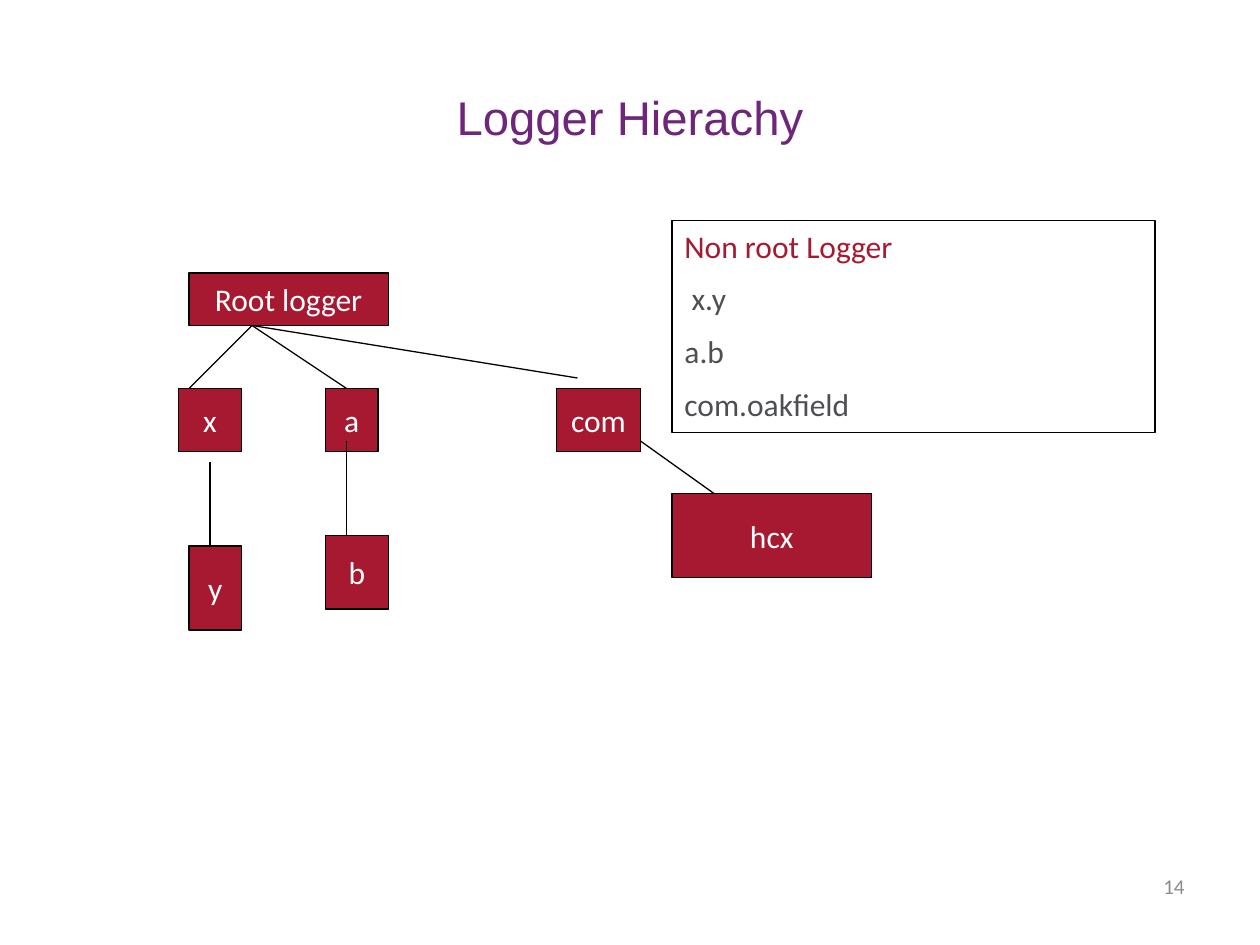
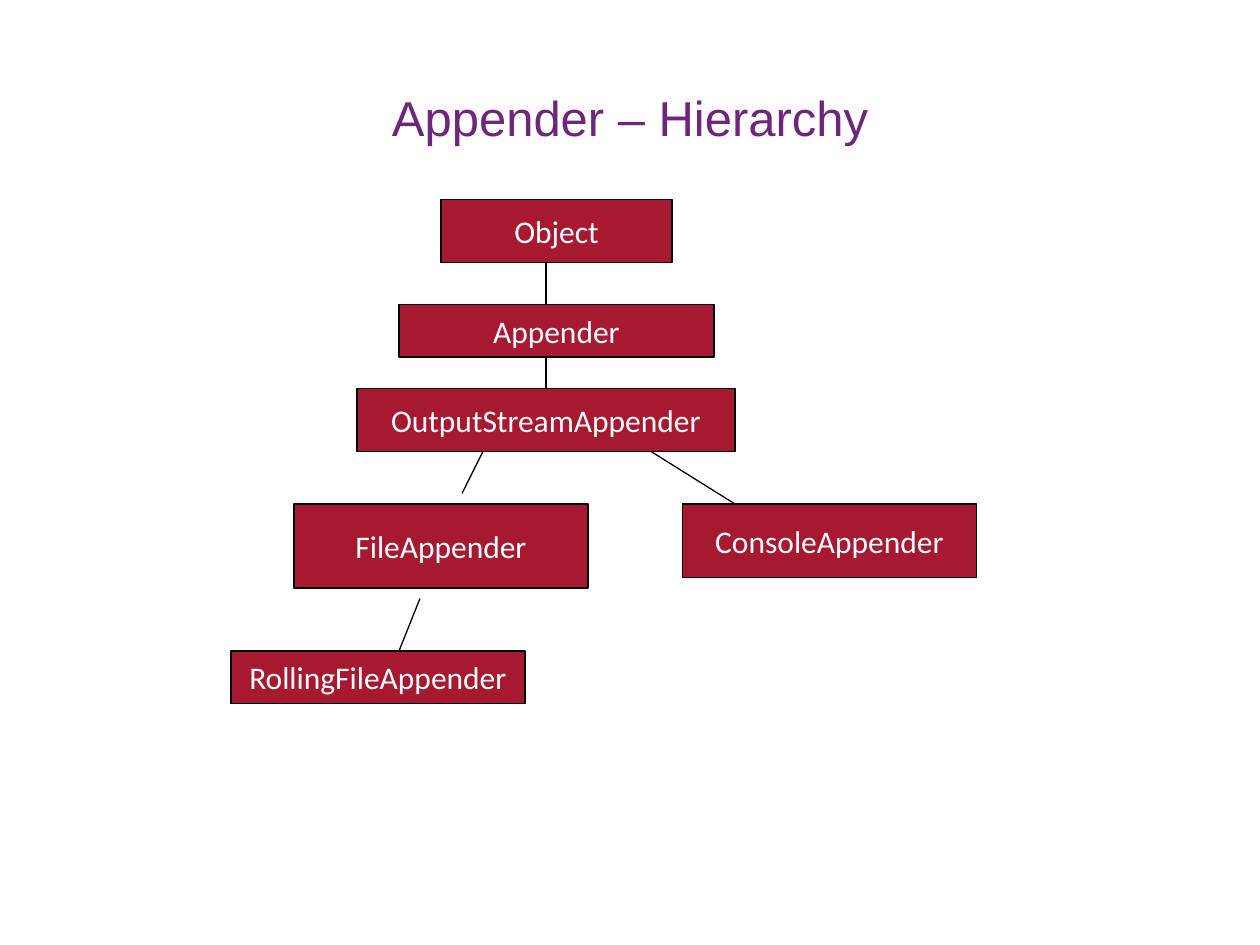
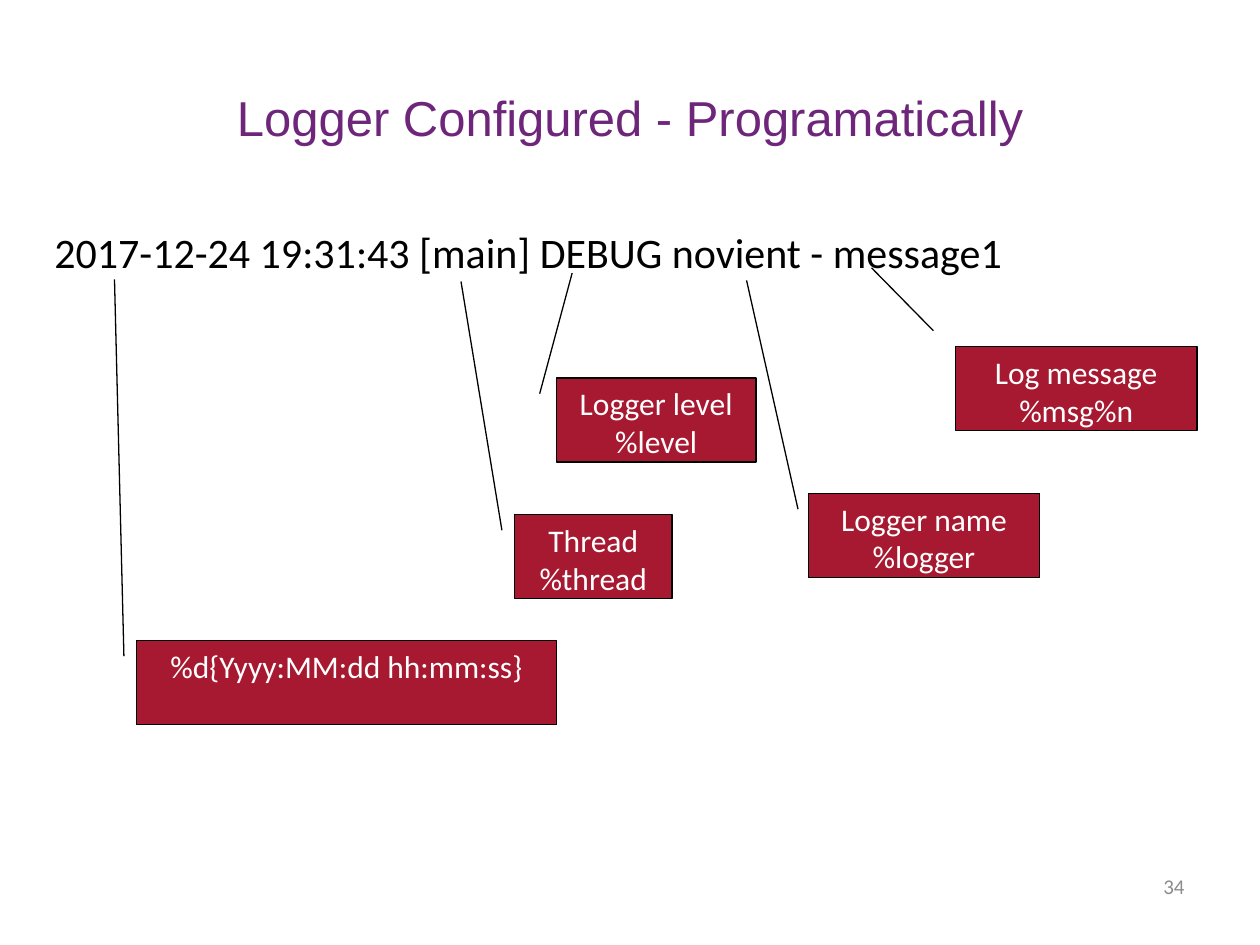
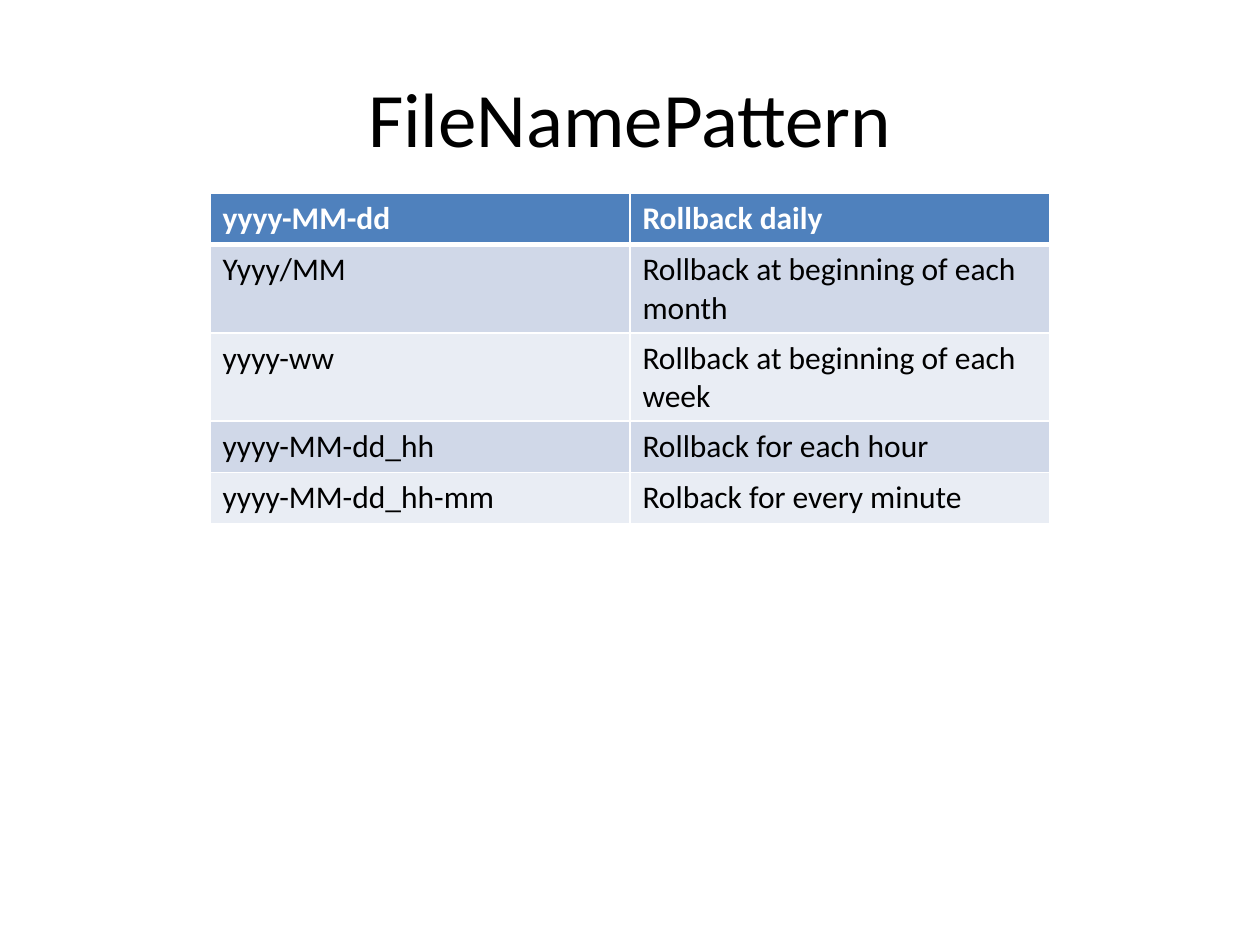
from dataclasses import dataclass
from typing import NamedTuple, Optional, Union

import lxml.etree
import pptx
import pptx.dml.color
import pptx.enum.shapes
import pptx.enum.text
import pptx.oxml
import pptx.oxml.ns
import pptx.util

PX = 7620  # EMU per px: 120 px to the inch

SHAPE = pptx.enum.shapes.MSO_SHAPE
ALIGN = pptx.enum.text.PP_ALIGN
ANCHOR = pptx.enum.text.MSO_ANCHOR
AUTO_SIZE = pptx.enum.text.MSO_AUTO_SIZE


@dataclass(frozen=True)
class Theme:
    heading_font: str = "Arial"
    body_font: str = "Calibri"
    purple: str = "6E267B"
    red: str = "A71930"
    grey: str = "4D4F53"
    page_grey: str = "8C8C8C"
    black: str = "000000"
    white: str = "FFFFFF"
    table_head: str = "4F81BD"
    table_bands: tuple[str, str] = ("D0D8E8", "E9EDF4")
    title_size: int = 28
    big_title_size: int = 44
    sample_size: int = 24
    body_size: int = 18
    page_size: int = 12
    paragraph_gap: float = 8.6
    outline: float = 0.75
    cell_border: int = 1
    head_border: int = 3


THEME = Theme()


class Rect(NamedTuple):
    x: int
    y: int
    w: int
    h: int

    def emu(self) -> list[int]:
        return [v * PX for v in self]

    def side_middles(self) -> list[tuple[int, int]]:
        """Middles in connection site order: top, left, bottom, right."""
        cx, cy = self.x + self.w // 2, self.y + self.h // 2
        return [(cx, self.y), (self.x, cy), (cx, self.y + self.h), (self.x + self.w, cy)]


class Box(NamedTuple):
    label: str
    rect: Rect


class Line(NamedTuple):
    start: tuple[int, int]
    end: tuple[int, int]


class Callout(NamedTuple):
    text: str
    rect: Rect
    start: tuple[int, int]
    target: tuple[int, int]


TITLE_RECT = Rect(60, 36, 1080, 150)
PAGE_RECT = Rect(930, 820, 210, 48)


# Shared helpers
def rgb(color: str) -> pptx.dml.color.RGBColor:
    return pptx.dml.color.RGBColor.from_string(color)


def set_text(tf, text: str, size: int, color: str, font: str = THEME.body_font,
             align=ALIGN.LEFT, bold: bool = False) -> None:
    tf.text = text
    for p in tf.paragraphs:
        p.alignment = align
        for r in p.runs:
            r.font.name = font
            r.font.size = pptx.util.Pt(size)
            r.font.bold = bold
            r.font.color.rgb = rgb(color)


def add_text(s, rect: Rect, text: str, size: int, color: str, font: str = THEME.body_font,
             align=ALIGN.LEFT, anchor=ANCHOR.MIDDLE):
    sp = s.shapes.add_textbox(*rect.emu())
    tf = sp.text_frame
    tf.word_wrap = True
    tf.vertical_anchor = anchor
    set_text(tf, text, size, color, font, align)
    return sp


def set_outline(line) -> None:
    line.color.rgb = rgb(THEME.black)
    line.width = pptx.util.Pt(THEME.outline)


def add_filled(s, kind, rect: Rect, text: str, anchor, wrap: bool):
    sp = s.shapes.add_shape(kind, *rect.emu())
    sp.shadow.inherit = False
    sp.fill.solid()
    sp.fill.fore_color.rgb = rgb(THEME.red)
    set_outline(sp.line)
    tf = sp.text_frame
    tf.word_wrap = wrap
    tf.vertical_anchor = anchor
    set_text(tf, text, THEME.body_size, THEME.white, align=ALIGN.CENTER)
    return sp


def add_line(s, line: Line, drawn: list) -> None:
    ends = [v * PX for v in line.start + line.end]
    cxn = s.shapes.add_connector(pptx.enum.shapes.MSO_CONNECTOR.STRAIGHT, *ends)
    set_outline(cxn.line)
    lxml.etree.SubElement(cxn._element.spPr, pptx.oxml.ns.qn("a:effectLst"))
    # Join ends that meet the middle of a box's side
    for rect, sp in drawn:
        for site, point in enumerate(rect.side_middles()):
            if point == line.start:
                cxn.begin_connect(sp, site)
            if point == line.end:
                cxn.end_connect(sp, site)


def add_diagram(s, parts: list[Union[Box, Line]]) -> None:
    drawn = []
    for part in parts:
        if isinstance(part, Line):
            add_line(s, part, drawn)
        else:
            sp = add_filled(s, SHAPE.RECTANGLE, part.rect, part.label, ANCHOR.MIDDLE, False)
            drawn.append((part.rect, sp))


def add_callout(s, c: Callout) -> None:
    sp = add_filled(s, SHAPE.LINE_CALLOUT_1, c.rect, c.text, ANCHOR.TOP, True)
    for i, (x, y) in enumerate((c.start, c.target)):
        sp.adjustments[2 * i] = (y - c.rect.y) / c.rect.h
        sp.adjustments[2 * i + 1] = (x - c.rect.x) / c.rect.w


def new_slide(prs, title: str, page: Optional[int] = None, size: int = THEME.title_size,
              color: str = THEME.purple, font: str = THEME.heading_font):
    s = prs.slides.add_slide(prs.slide_layouts[6])
    add_text(s, TITLE_RECT, title, size, color, font, ALIGN.CENTER)
    if page is not None:
        add_text(s, PAGE_RECT, str(page), THEME.page_size, THEME.page_grey, align=ALIGN.RIGHT)
    return s


def set_borders(cell, top: int, bottom: int) -> None:
    tc_pr = cell._tc.get_or_add_tcPr()
    sides = {"L": THEME.cell_border, "R": THEME.cell_border, "T": top, "B": bottom}
    for i, (side, width) in enumerate(sides.items()):
        tc_pr.insert(i, pptx.oxml.parse_xml(
            f'<a:ln{side} {pptx.oxml.ns.nsdecls("a")} w="{pptx.util.Pt(width)}">'
            f'<a:solidFill><a:srgbClr val="{THEME.white}"/></a:solidFill></a:ln{side}>'))


# Slides
def logger_hierarchy(prs) -> None:
    s = new_slide(prs, "Logger Hierachy", 14, size=27)
    fork = (240, 310)
    add_diagram(s, [
        Line(fork, (180, 370)),
        Line(fork, (330, 370)),
        Line(fork, (550, 360)),
        Box("x", Rect(170, 370, 60, 60)),
        Box("a", Rect(310, 370, 50, 60)),
        Box("com", Rect(530, 370, 80, 60)),
        Box("hcx", Rect(640, 470, 190, 80)),
        Line((610, 420), (680, 470)),
        Line((200, 440), (200, 530)),
        Box("y", Rect(180, 520, 50, 80)),
        Box("b", Rect(310, 510, 60, 70)),
        Line((330, 420), (330, 510)),
        Box("Root logger", Rect(180, 260, 190, 50)),
    ])
    # List of non root loggers
    panel = add_text(s, Rect(640, 210, 460, 202), "Non root Logger\n x.y\na.b\ncom.oakfield",
                     THEME.body_size, THEME.grey, anchor=ANCHOR.TOP)
    set_outline(panel.line)
    tf = panel.text_frame
    tf.auto_size = AUTO_SIZE.SHAPE_TO_FIT_TEXT
    heading, *names = tf.paragraphs
    heading.runs[0].font.color.rgb = rgb(THEME.red)
    for p in names:
        p.space_before = pptx.util.Pt(THEME.paragraph_gap)


def appender_hierarchy(prs) -> None:
    s = new_slide(prs, "Appender – Hierarchy")
    add_diagram(s, [
        Box("Object", Rect(420, 190, 220, 60)),
        Box("Appender", Rect(380, 290, 300, 50)),
        Box("OutputStreamAppender", Rect(340, 370, 360, 60)),
        Box("FileAppender", Rect(280, 480, 280, 80)),
        Box("ConsoleAppender", Rect(650, 480, 280, 70)),
        Box("RollingFileAppender", Rect(220, 620, 280, 50)),
        Line((520, 250), (520, 290)),
        Line((520, 340), (520, 370)),
        Line((460, 430), (440, 470)),
        Line((620, 430), (700, 480)),
        Line((400, 570), (380, 620)),
    ])


def logger_pattern(prs) -> None:
    s = new_slide(prs, "Logger Configured - Programatically", 34)
    for callout in (
        Callout("%d{Yyyy:MM:dd hh:mm:ss}", Rect(130, 610, 400, 80), (118, 625), (109, 266)),
        Callout("Thread\n%thread", Rect(490, 490, 150, 80), (478, 505), (439, 268)),
        Callout("Logger level\n%level", Rect(530, 360, 190, 80), (514, 375), (545, 260)),
        Callout("Logger name\n%logger", Rect(770, 470, 220, 80), (760, 485), (711, 267)),
        Callout("Log message\n%msg%n", Rect(910, 330, 230, 80), (889, 315), (830, 255)),
    ):
        add_callout(s, callout)
    sample = add_text(s, Rect(40, 210, 1040, 60),
                      "2017-12-24 19:31:43 [main] DEBUG novient - message1",
                      THEME.sample_size, THEME.black, anchor=ANCHOR.TOP)
    sample.text_frame.auto_size = AUTO_SIZE.SHAPE_TO_FIT_TEXT


def file_name_pattern(prs) -> None:
    s = new_slide(prs, "FileNamePattern", size=THEME.big_title_size, color=THEME.black,
                  font=THEME.body_font)
    rows = [
        ("yyyy-MM-dd", "Rollback daily"),
        ("Yyyy/MM", "Rollback at beginning of each month"),
        ("yyyy-ww", "Rollback at beginning of each week"),
        ("yyyy-MM-dd_hh", "Rollback for each hour"),
        ("yyyy-MM-dd_hh-mm", "Rolback for every minute"),
    ]
    rect = Rect(200, 184, 800, 49 * len(rows))
    table = s.shapes.add_table(len(rows), 2, *rect.emu()).table
    for i, row in enumerate(rows):
        head = i == 0
        fill = THEME.table_head if head else THEME.table_bands[(i - 1) % 2]
        for j, text in enumerate(row):
            cell = table.cell(i, j)
            set_text(cell.text_frame, text, THEME.body_size,
                     THEME.white if head else THEME.black, bold=head)
            cell.fill.solid()
            cell.fill.fore_color.rgb = rgb(fill)
            set_borders(cell, THEME.head_border if i == 1 else THEME.cell_border,
                        THEME.head_border if head else THEME.cell_border)


def main() -> None:
    prs = pptx.Presentation()
    prs.slide_width, prs.slide_height = 1200 * PX, 900 * PX
    for build in (logger_hierarchy, appender_hierarchy, logger_pattern, file_name_pattern):
        build(prs)
    prs.save("out.pptx")


if __name__ == "__main__":
    main()
